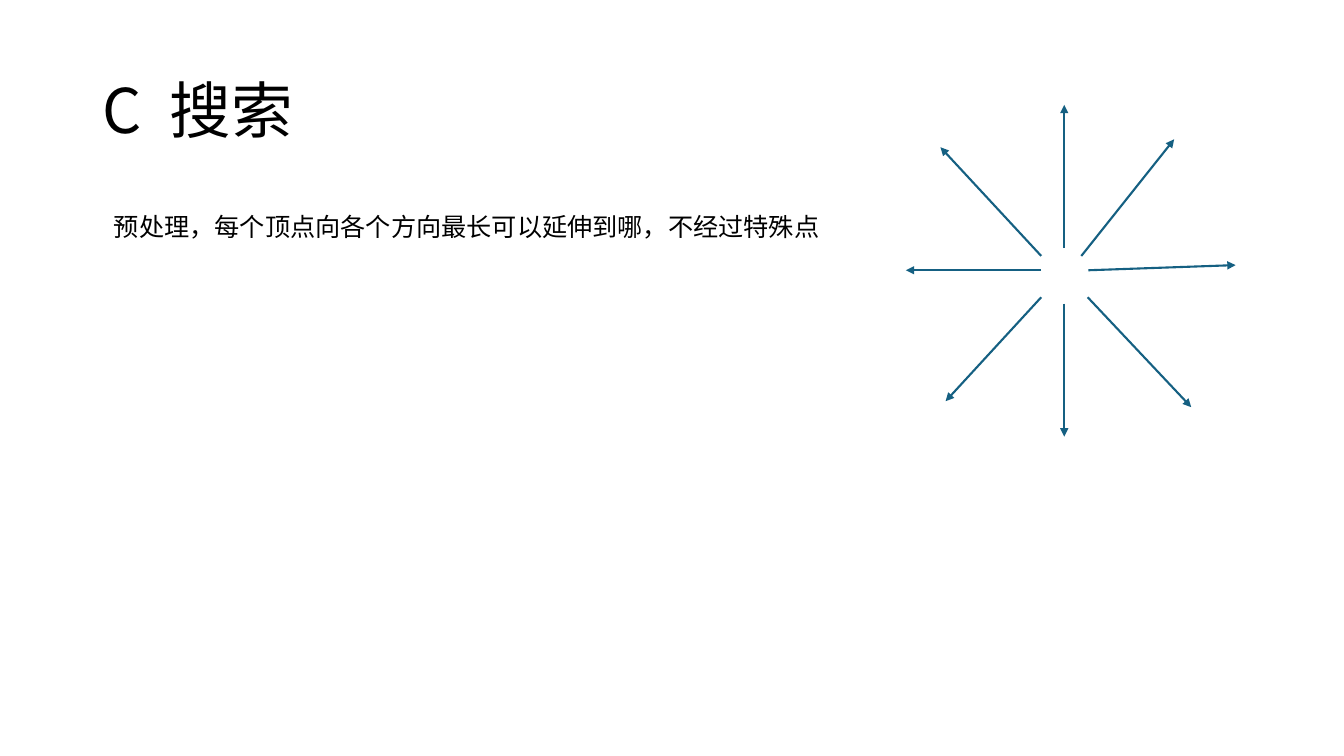
from typing import NamedTuple

from pptx import Presentation
from pptx import util as u
from pptx.dml.color import RGBColor
from pptx.enum import shapes, text
from pptx.oxml.ns import qn
from lxml import etree

FONT = "Noto Sans CJK SC"
INK = "000000"
TEAL = "156082"


class Ray(NamedTuple):
    x1: float
    y1: float
    x2: float
    y2: float


RAYS = [
    Ray(26.82, 6.25, 26.82, 2.64),
    Ray(27.25, 6.45, 29.59, 3.51),
    Ray(27.43, 6.81, 31.14, 6.68),
    Ray(27.41, 7.49, 30.02, 10.26),
    Ray(26.82, 7.65, 26.82, 11.0),
    Ray(26.24, 7.49, 23.83, 10.11),
    Ray(26.24, 6.81, 22.83, 6.81),
    Ray(26.24, 6.45, 23.7, 3.71),
]


def color(value: str) -> RGBColor:
    return RGBColor.from_string(value)


def place(sp, left: float, top: float, width: float, height: float) -> None:
    box = {"left": left, "top": top, "width": width, "height": height}
    for name, value in box.items():
        setattr(sp, name, u.Cm(value))


def add_run(p, content: str, size: float, spacing: int = 0) -> None:
    r = p.add_run()
    r.text = content
    for name, value in {"name": FONT, "size": u.Pt(size), "bold": False}.items():
        setattr(r.font, name, value)
    r.font.color.rgb = color(INK)
    rPr = r.font._element
    etree.SubElement(rPr, qn("a:ea")).set("typeface", FONT)
    if spacing:
        rPr.set("spc", str(spacing))


def add_ray(slide, ray: Ray) -> None:
    s = slide.shapes.add_connector(
        shapes.MSO_CONNECTOR.STRAIGHT, *(u.Cm(value) for value in ray))
    s.line.color.rgb = color(TEAL)
    s.line.width = u.Pt(1.5)
    etree.SubElement(s.line._get_or_add_ln(), qn("a:tailEnd")).set("type", "triangle")
    etree.SubElement(s._element.spPr, qn("a:effectLst"))


def main() -> None:
    prs = Presentation()
    prs.slide_width, prs.slide_height = u.Cm(33.87), u.Cm(19.05)
    s = prs.slides.add_slide(prs.slide_layouts[5])

    title = s.shapes.title
    place(title, 2.33, 1.01, 29.21, 3.68)
    tf = title.text_frame
    for name, value in {"vertical_anchor": text.MSO_ANCHOR.MIDDLE,
                        "auto_size": text.MSO_AUTO_SIZE.NONE,
                        "word_wrap": True}.items():
        setattr(tf, name, value)
    p = tf.paragraphs[0]
    for name, value in {"alignment": text.PP_ALIGN.LEFT, "line_spacing": 0.9}.items():
        setattr(p, name, value)
    add_run(p, "C", 44)
    add_run(p, " ", 44, spacing=1000)
    add_run(p, "搜索", 44)

    note = s.shapes.add_textbox(u.Cm(2.62), u.Cm(5.21), u.Cm(20.02), u.Cm(1.02))
    tf = note.text_frame
    for name, value in {"word_wrap": True,
                        "auto_size": text.MSO_AUTO_SIZE.SHAPE_TO_FIT_TEXT}.items():
        setattr(tf, name, value)
    add_run(tf.paragraphs[0], "预处理，每个顶点向各个方向最长可以延伸到哪，不经过特殊点", 18)

    for ray in RAYS:
        add_ray(s, ray)

    prs.save("out.pptx")


if __name__ == "__main__":
    main()
